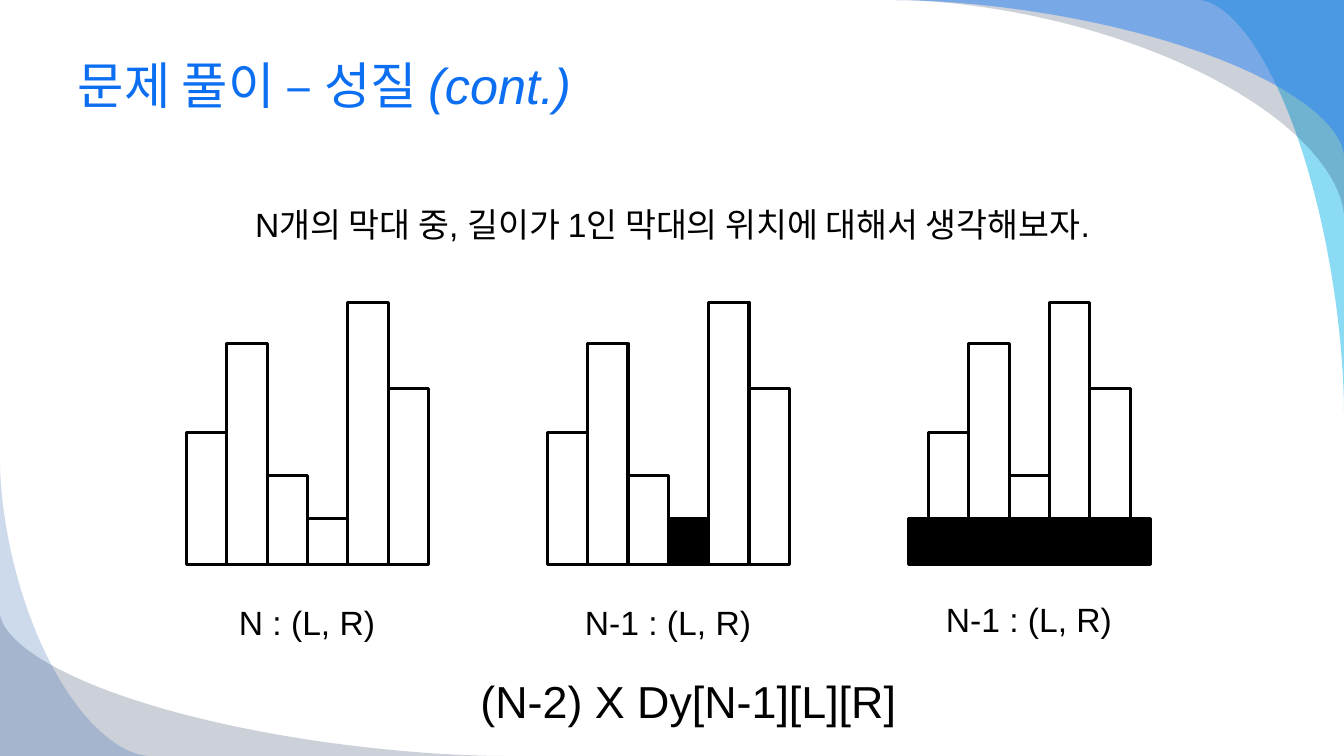
"""Build the slide on the position of the shortest bar in a bar-counting problem."""
from math import cos, pi, sin

from lxml import etree
from pptx import Presentation
from pptx import util as u
from pptx.dml.color import RGBColor
from pptx.enum import shapes, text
from pptx.oxml.ns import qn

THEME = {
    "font": "Arial", "title": 36, "body": 24, "formula": 32,
    "heading": "0C6FF2", "ink": "000000", "paper": "FFFFFF",
    "cyan": "00B1E9", "navy": "021741", "sky": "247FF4", "royal": "084AA1",
}


def paint(part, color, outline=None):
    part.shadow.inherit = False
    part.fill.solid()
    part.fill.fore_color.rgb = RGBColor.from_string(THEME[color])
    if outline:
        part.line.color.rgb = RGBColor.from_string(THEME[outline])
        part.line.width = u.Pt(2.25)
    else:
        part.line.fill.background()


def write(box, place, runs, size, color="ink", align=text.PP_ALIGN.CENTER):
    box.left, box.top, box.width, box.height = map(u.Inches, place)
    frame_format = {"word_wrap": True, "auto_size": text.MSO_AUTO_SIZE.NONE,
                    "vertical_anchor": text.MSO_ANCHOR.MIDDLE}
    for name, value in frame_format.items():
        setattr(box.text_frame, name, value)
    line = box.text_frame.paragraphs[0]
    line.alignment = align
    line.space_before = u.Pt(0)
    for words, italic in runs:
        run = line.add_run()
        run.text = words
        run_format = {"name": THEME["font"], "size": u.Pt(THEME[size]), "italic": italic}
        for name, value in run_format.items():
            setattr(run.font, name, value)
        run.font.color.rgb = RGBColor.from_string(THEME[color])
    return line


deck = Presentation()
deck.slide_width, deck.slide_height = u.Inches(13.33), u.Inches(7.5)
slide = deck.slides.add_slide(deck.slide_layouts[1])

SWOOSHES = [
    (13.33, 0, -1.44, 4.08, "cyan", 45),
    (13.33, 0, -4.44, 2.15, "navy", 20),
    (13.33, 0, -4.44, 1.55, "sky", 49),
    (0, 7.5, 5, -1.42, "navy", 20),
    (0, 7.5, 1.48, -2.92, "royal", 20),
]
BEND = 2 / 1.75
STEPS = 60
for corner_x, corner_y, reach_x, reach_y, color, opacity in SWOOSHES:
    curve = []
    for step in range(STEPS + 1):
        angle = pi / 2 * step / STEPS
        across, down = sin(angle) ** BEND, abs(cos(angle)) ** BEND
        curve.append((u.Inches(corner_x + reach_x * (1 - across)),
                      u.Inches(corner_y + reach_y * (1 - down))))
    outline = slide.shapes.build_freeform(u.Inches(corner_x), u.Inches(corner_y))
    outline.add_line_segments(curve, close=True)
    swoosh = outline.convert_to_shape()
    paint(swoosh, color)
    tint = swoosh.element.spPr.find(qn("a:solidFill"))[0]
    etree.SubElement(tint, qn("a:alpha"), val=str(opacity * 1000))

write(slide.shapes.title, (0.67, 0.33, 12, 1.01),
      [("문제 풀이 – 성질 ", False), ("(cont.)", True)],
      "title", "heading", text.PP_ALIGN.LEFT)
question = write(slide.placeholders[1], (0.67, 1.92, 12, 0.6),
                 [("N개의 막대 중, 길이가 1인 막대의 위치에 대해서 생각해보자.", False)], "body")
question_format = question._p.get_or_add_pPr()
for name in ("marL", "indent"):
    question_format.set(name, "0")
etree.SubElement(question_format, qn("a:buNone"))

BAR_WIDTH, BASELINE, SHORTEST = 0.4, 5.6, 0.46
HEIGHTS = [1.31, 2.19, 0.88, SHORTEST, 2.6, 1.75]
REST = [height for height in HEIGHTS if height != SHORTEST]
PANELS = [
    ("N : (L, R)", 5.9, HEIGHTS, 0, None),
    ("N-1 : (L, R)", 5.9, HEIGHTS, 0, (3, 1)),
    ("N-1 : (L, R)", 5.87, REST, 0.2, (0, 6)),
]
for panel, (label, label_top, heights, inset, black) in enumerate(PANELS):
    left = 1.85 + 3.58 * panel
    bars = [(left + inset + BAR_WIDTH * place, BAR_WIDTH, height, "paper")
            for place, height in enumerate(heights)]
    if black:
        first, span = black
        bars.append((left + BAR_WIDTH * first, BAR_WIDTH * span, SHORTEST, "ink"))
    for bar_left, width, height, color in bars:
        bar = slide.shapes.add_shape(
            shapes.MSO_SHAPE.RECTANGLE, u.Inches(bar_left), u.Inches(BASELINE - height),
            u.Inches(width), u.Inches(height))
        paint(bar, color, "ink")
    write(slide.shapes.add_textbox(0, 0, 0, 0), (left, label_top, 2.39, 0.54),
          [(label, False)], "body")

write(slide.shapes.add_textbox(0, 0, 0, 0), (0.83, 6.6, 12, 0.71),
      [("(N-2) X Dy[N-1][L][R]", False)], "formula")

deck.save("out.pptx")
